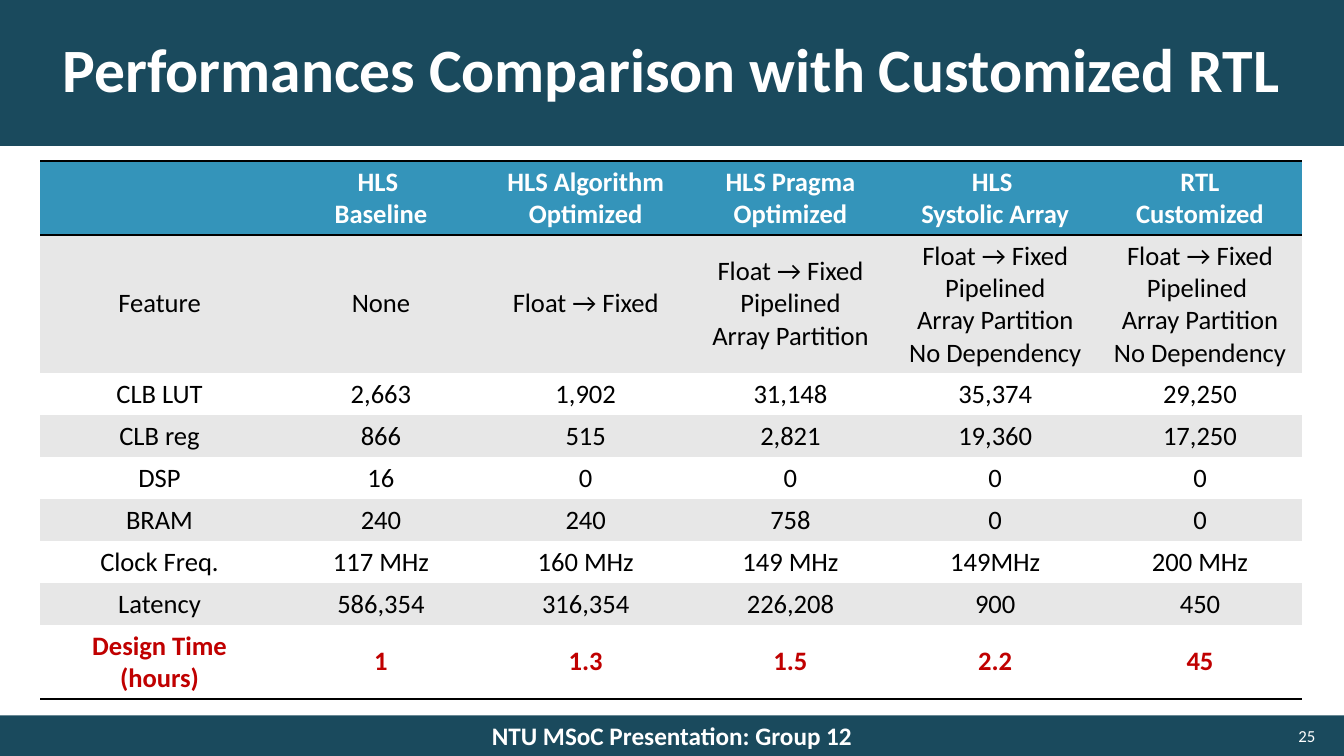
from dataclasses import dataclass

from lxml import etree
from pptx import Presentation
from pptx.dml.color import RGBColor
from pptx.enum.shapes import MSO_SHAPE
from pptx.enum.text import MSO_ANCHOR, PP_ALIGN
from pptx.oxml.ns import qn
from pptx.util import Cm, Pt

RECT = MSO_SHAPE.RECTANGLE
MIDDLE = MSO_ANCHOR.MIDDLE
CENTER, RIGHT = PP_ALIGN.CENTER, PP_ALIGN.RIGHT
NO_GRID_STYLE = "{2D5ABB26-0587-4C30-8999-92F81FD0307C}"

# Content
TITLE = "Performances Comparison with Customized RTL"
FOOTER = "NTU MSoC Presentation: Group 12"
PAGE = "25"
HEADER = ["", "HLS \nBaseline", "HLS Algorithm\nOptimized", "HLS Pragma\nOptimized",
          "HLS \nSystolic Array", "RTL\nCustomized"]
BODY = [
    ["Feature", "None", "Float → Fixed", "Float → Fixed\nPipelined\nArray Partition",
     "Float → Fixed\nPipelined\nArray Partition\nNo Dependency",
     "Float → Fixed\nPipelined \nArray Partition\nNo Dependency"],
    ["CLB LUT", "2,663", "1,902", "31,148", "35,374", "29,250"],
    ["CLB reg", "866", "515", "2,821", "19,360", "17,250"],
    ["DSP", "16", "0", "0", "0", "0"],
    ["BRAM", "240", "240", "758", "0", "0"],
    ["Clock Freq.", "117 MHz", "160 MHz", "149 MHz", "149MHz", "200 MHz"],
    ["Latency", "586,354", "316,354", "226,208", "900", "450"],
    ["Design Time (hours)", "1", "1.3", "1.5", "2.2", "45"],
]


@dataclass
class Theme:
    font: str = "Calibri"
    bar: str = "1A4A5D"
    header: str = "3494BA"
    band: str = "E7E7E7"
    white: str = "FFFFFF"
    black: str = "000000"
    accent: str = "C00000"
    title_size: int = 44
    footer_size: int = 18
    page_size: int = 12
    table_size: int = 19
    rule: int = 2


theme = Theme()

# Layout in centimetres
SLIDE_W, SLIDE_H = 33.87, 19.05
TITLE_H, FOOTER_H = 3.68, 1.02
FOOTER_TOP = SLIDE_H - FOOTER_H
PAGE_LEFT, PAGE_W = 25.78, 7.62
TABLE_LEFT, TABLE_TOP = 1.02, 4.06
COLS = [6] + [5.16] * (len(HEADER) - 1)
ROWS = [1.7, 3.18] + [0.97] * (len(BODY) - 2) + [1.7]
CELL_MARGIN = 0.3


def write(tf, text, size, color=theme.white, bold=False, align=CENTER, spacing=None):
    """Write one paragraph per line of text."""
    tf.word_wrap = True
    for i, line in enumerate(text.split("\n")):
        p = tf.add_paragraph() if i else tf.paragraphs[0]
        p.alignment = align
        if spacing:
            p.line_spacing = spacing
        r = p.add_run()
        r.text = line
        r.font.name = theme.font
        r.font.size = Pt(size)
        r.font.bold = bold
        r.font.color.rgb = RGBColor.from_string(color)


def add_bar(slide, top, height, text, size, **fmt):
    sp = slide.shapes.add_shape(RECT, 0, Cm(top), Cm(SLIDE_W), Cm(height))
    sp.shadow.inherit = False
    sp.fill.solid()
    sp.fill.fore_color.rgb = RGBColor.from_string(theme.bar)
    sp.line.fill.background()
    sp.text_frame.vertical_anchor = MIDDLE
    write(sp.text_frame, text, size, bold=True, **fmt)


def add_rules(cell, sides):
    """Draw the cell's horizontal rules; lines precede the fill in tcPr."""
    tc_pr = cell._tc.get_or_add_tcPr()
    for i, side in enumerate(sides):
        ln = etree.Element(qn(f"a:ln{side}"), w=str(Pt(theme.rule)))
        fill = etree.SubElement(ln, qn("a:solidFill"))
        etree.SubElement(fill, qn("a:srgbClr"), val=theme.black)
        tc_pr.insert(i, ln)


def add_comparison(slide):
    rows = [HEADER] + BODY
    last = len(rows) - 1
    table = slide.shapes.add_table(len(rows), len(COLS), Cm(TABLE_LEFT), Cm(TABLE_TOP),
                                   Cm(sum(COLS)), Cm(sum(ROWS))).table
    table._tbl.tblPr.find(qn("a:tableStyleId")).text = NO_GRID_STYLE
    for column, width in zip(table.columns, COLS):
        column.width = Cm(width)
    for i, (row, height) in enumerate(zip(rows, ROWS)):
        table.rows[i].height = Cm(height)
        if i == 0:
            fill, color, sides = theme.header, theme.white, "TB"
        else:
            fill = theme.band if i % 2 else theme.white
            color = theme.accent if i == last else theme.black
            sides = "B" if i == last else ""
        for j, text in enumerate(row):
            cell = table.cell(i, j)
            cell.vertical_anchor = MIDDLE
            cell.margin_left = cell.margin_right = Cm(CELL_MARGIN)
            cell.fill.solid()
            cell.fill.fore_color.rgb = RGBColor.from_string(fill)
            add_rules(cell, sides)
            if text:
                write(cell.text_frame, text, theme.table_size, color=color,
                      bold=i in (0, last))


def main():
    prs = Presentation()
    prs.slide_width, prs.slide_height = Cm(SLIDE_W), Cm(SLIDE_H)
    slide = prs.slides.add_slide(prs.slide_layouts[6])

    # Title and footer bars
    add_bar(slide, 0, TITLE_H, TITLE, theme.title_size, spacing=0.9)
    add_bar(slide, FOOTER_TOP, FOOTER_H, FOOTER, theme.footer_size)

    # Page number
    page = slide.shapes.add_textbox(Cm(PAGE_LEFT), Cm(FOOTER_TOP), Cm(PAGE_W), Cm(FOOTER_H))
    page.text_frame.vertical_anchor = MIDDLE
    write(page.text_frame, PAGE, theme.page_size, align=RIGHT)

    # Comparison table
    add_comparison(slide)
    prs.save("out.pptx")


if __name__ == "__main__":
    main()
